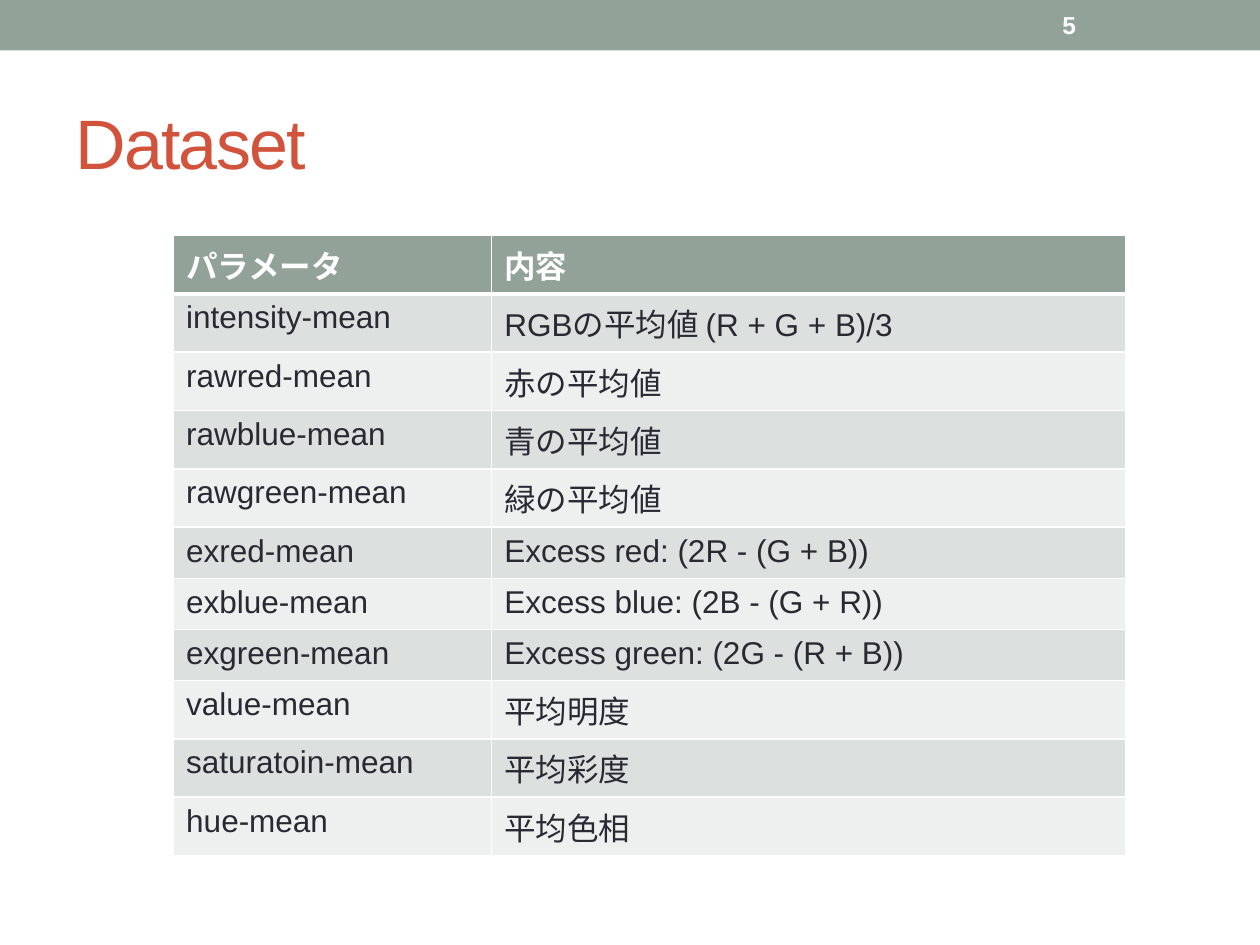
from pptx import Presentation
from pptx.dml.color import RGBColor
from pptx.enum.shapes import MSO_SHAPE
from pptx.enum.text import MSO_ANCHOR
from pptx.util import Pt
from lxml.etree import SubElement
from pptx.oxml.ns import qn


def tint(code):
    return RGBColor.from_string(code)


class Deck:
    """Draws styled elements on the current slide."""

    font = "Arial"
    white, sage, red, ink = "FFFFFF", "93A299", "D2533C", "292934"
    bands = "DCE0DE", "EEF0EF"

    def __init__(self, wide, high):
        self.file = Presentation()
        self.file.slide_width, self.file.slide_height = Pt(wide), Pt(high)
        self.slide = self.file.slides.add_slide(self.file.slide_layouts[6])

    def style(self, para, size, color, bold=False):
        font = para.font
        font.name, font.size, font.bold = self.font, Pt(size), bold
        font.color.rgb = tint(color)

    def bar(self, *box):
        shape = self.slide.shapes.add_shape(MSO_SHAPE.RECTANGLE, *map(Pt, box))
        shape.shadow.inherit = False
        shape.fill.solid()
        shape.fill.fore_color.rgb = tint(self.sage)
        shape.line.fill.background()

    def text(self, words, box, size, color, bold=False, space=0):
        frame = self.slide.shapes.add_textbox(*map(Pt, box)).text_frame
        frame.word_wrap = True
        frame.vertical_anchor = MSO_ANCHOR.MIDDLE
        para = frame.paragraphs[0]
        run = para.add_run()
        run.text = words
        self.style(para, size, color, bold)
        if space:
            run._r.get_or_add_rPr().set("spc", str(space * 100))

    def edge(self, cell, side, width):
        line = SubElement(cell._tc.get_or_add_tcPr(), qn("a:ln" + side), w=str(Pt(width)))
        fill = SubElement(line, qn("a:solidFill"))
        SubElement(fill, qn("a:srgbClr"), val=self.white)

    def cell(self, cell, words, row):
        head = row == 0
        for side in "LRTB":
            thick = (side, row) in (("B", 0), ("T", 1))
            self.edge(cell, side, 3 if thick else 1)
        cell.fill.solid()
        cell.fill.fore_color.rgb = tint(self.sage if head else self.bands[(row - 1) % 2])
        cell.text = words
        self.style(cell.text_frame.paragraphs[0], 18, self.white if head else self.ink, head)

    def table(self, rows, left, top, widths, low, tall):
        size = len(rows), len(widths)
        highs = [low if "".join(row).isascii() else tall for row in rows]
        box = left, top, sum(widths), sum(highs)
        table = self.slide.shapes.add_table(*size, *map(Pt, box)).table
        for col, width in zip(table.columns, widths):
            col.width = Pt(width)
        for r, row in enumerate(rows):
            table.rows[r].height = Pt(highs[r])
            for c, words in enumerate(row):
                self.cell(table.cell(r, c), words, r)


rows = [
    ("パラメータ", "内容"),
    ("intensity-mean", "RGBの平均値 (R + G + B)/3"),
    ("rawred-mean", "赤の平均値"),
    ("rawblue-mean", "青の平均値"),
    ("rawgreen-mean", "緑の平均値"),
    ("exred-mean", "Excess red: (2R - (G + B))"),
    ("exblue-mean", "Excess blue: (2B - (G + R))"),
    ("exgreen-mean", "Excess green: (2G - (R + B))"),
    ("value-mean", "平均明度"),
    ("saturatoin-mean", "平均彩度"),
    ("hue-mean", "平均色相"),
]

deck = Deck(720, 540)
deck.bar(0, 0, 720, 28.8)
deck.text("Dataset", (36, 42, 648, 78), 40, deck.red, space=-1)
deck.text("5", (600, 1, 84, 26), 14, deck.white, bold=True)
deck.table(rows, 99.2, 134.6, (181.8, 362.4), 29.2, 33.35)
deck.file.save("out.pptx")
